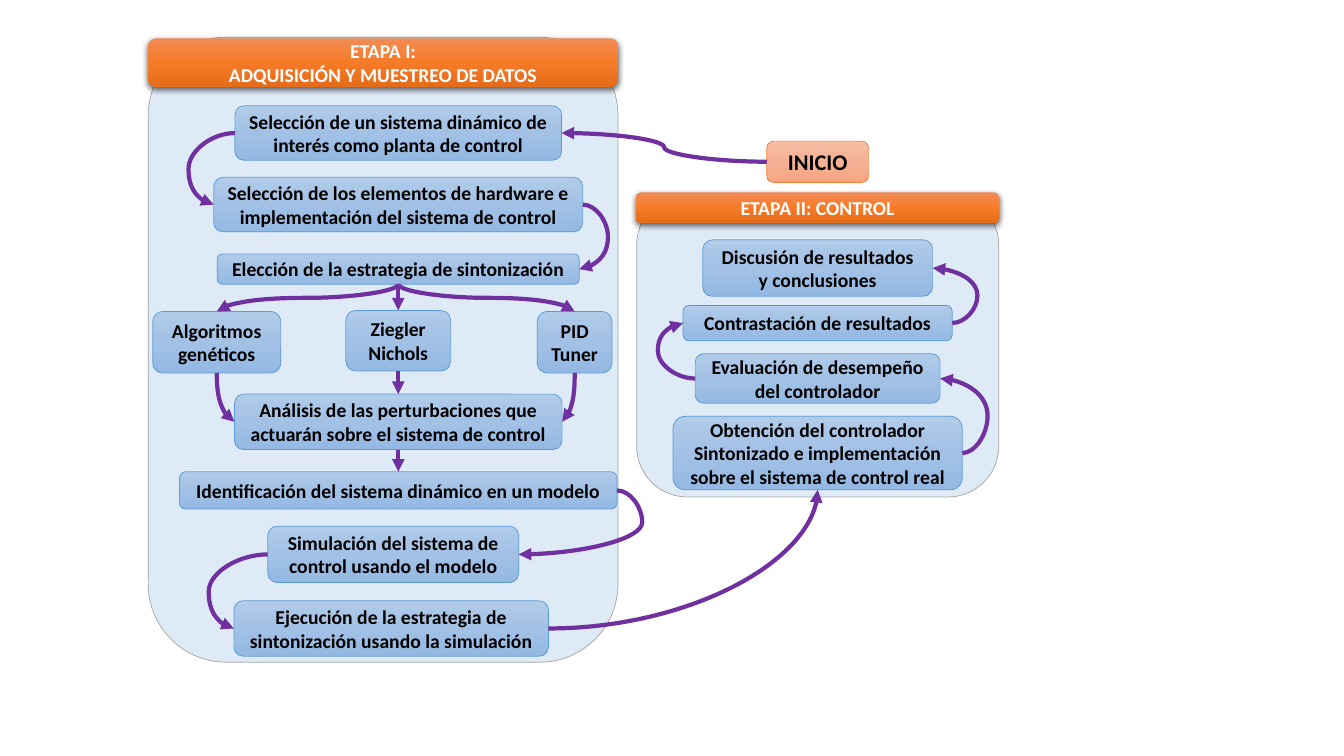
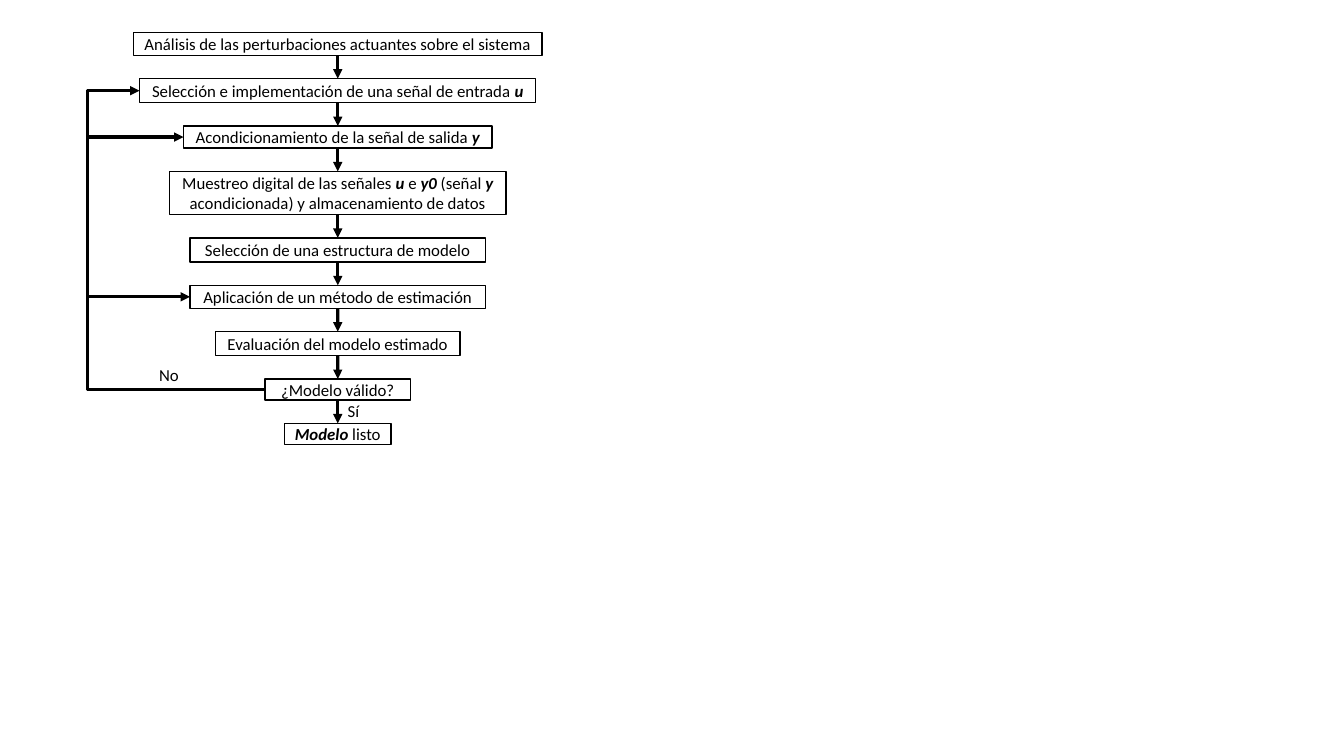
from copy import deepcopy

from lxml.etree import SubElement
from pptx import Presentation
from pptx.dml.color import RGBColor
from pptx.enum.shapes import MSO_CONNECTOR, MSO_SHAPE
from pptx.enum.text import MSO_ANCHOR, PP_ALIGN
from pptx.oxml.ns import qn
from pptx.util import Inches, Pt

COLORS = {
    "black": "000000",
    "white": "FFFFFF",
    "panel": "DEEBF7",
    "panel_line": "A5A5A5",
    "step_line": "5B9BD5",
    "start_line": "ED7D31",
    "arrow": "7030A0",
}
GRADIENTS = {
    "step": ("B1CBE9", "A3C1E5", "93B9E4"),
    "start": ("F7BDA5", "F5B196", "F8A582"),
    "header": ("F18C57", "F67B28", "E56C19"),
}
FONT = "Calibri"
ROUNDED = MSO_SHAPE.FLOWCHART_ALTERNATE_PROCESS
TOP, LEFT, BOTTOM, RIGHT = range(4)
LOOP = Inches(0.25)
STAGE_ONE_CENTER = 3.95
STAGE_TWO_CENTER = 8.11
FLOW_CENTER = 3.35
FLOW_TOP = 0.32
FLOW_GAP = 0.23
RAIL = 0.87

STAGE_ONE = {
    "sistema": (3.95, 1.05, 3.24, 0.54, ["Selección de un sistema dinámico de", "interés como planta de control"]),
    "hardware": (3.95, 1.76, 3.66, 0.54, ["Selección de los elementos de hardware e implementación del sistema de control"]),
    "estrategia": (3.95, 2.52, 3.59, 0.3, ["Elección de la estrategia de sintonización"]),
    "algoritmos": (2.15, 3.09, 1.27, 0.61, ["Algoritmos", "genéticos"]),
    "ziegler": (3.95, 3.08, 1.04, 0.6, ["Ziegler", "Nichols"]),
    "pid": (5.7, 3.09, 0.74, 0.61, ["PID", "Tuner"]),
    "perturbaciones": (3.95, 3.91, 3.25, 0.55, ["Análisis de las perturbaciones que", "actuarán sobre el sistema de control"]),
    "identificación": (3.95, 4.68, 4.34, 0.37, ["Identificación del sistema dinámico en un modelo"]),
    "simulación": (3.9, 5.22, 2.49, 0.56, ["Simulación del sistema de", "control usando el modelo"]),
    "ejecución": (3.88, 5.96, 3.12, 0.55, ["Ejecución de la estrategia de", "sintonización usando la simulación"]),
}
STAGE_TWO = {
    "obtención": (4.13, 2.87, 0.73, ["Obtención del controlador", "Sintonizado e implementación", "sobre el sistema de control real"]),
    "evaluación": (3.51, 2.43, 0.49, ["Evaluación de desempeño", "del controlador"]),
    "contrastación": (3.03, 2.67, 0.35, ["Contrastación de resultados"]),
    "discusión": (2.38, 2.28, 0.56, ["Discusión de resultados", "y conclusiones"]),
}
CURVES = [
    ("inicio", LEFT, "sistema", RIGHT),
    ("sistema", LEFT, "hardware", LEFT),
    ("hardware", RIGHT, "estrategia", RIGHT),
    ("estrategia", BOTTOM, "algoritmos", TOP),
    ("estrategia", BOTTOM, "pid", TOP),
    ("algoritmos", BOTTOM, "perturbaciones", LEFT),
    ("pid", BOTTOM, "perturbaciones", RIGHT),
    ("identificación", RIGHT, "simulación", RIGHT),
    ("simulación", LEFT, "ejecución", LEFT),
    ("ejecución", RIGHT, "obtención", BOTTOM),
    ("obtención", RIGHT, "evaluación", RIGHT),
    ("evaluación", LEFT, "contrastación", LEFT),
    ("contrastación", RIGHT, "discusión", RIGHT),
]
STRAIGHTS = [
    ("estrategia", "ziegler"),
    ("ziegler", "perturbaciones"),
    ("perturbaciones", "identificación"),
]
FLOW = [
    (4.05, 0.23, "Análisis de las perturbaciones actuantes sobre el sistema"),
    (3.93, 0.24, "Selección e implementación de una señal de entrada *u*"),
    (3.06, 0.22, "Acondicionamiento de la señal de salida *y*"),
    (3.34, 0.43, "Muestreo digital de las señales *u *e *y0* (señal *y *acondicionada) y almacenamiento de datos"),
    (2.93, 0.24, "Selección de una estructura de modelo"),
    (2.93, 0.23, "Aplicación de un método de estimación"),
    (2.43, 0.24, "Evaluación del modelo estimado"),
    (1.44, 0.21, "¿Modelo válido?"),
    (1.06, 0.21, "*Modelo* listo"),
]


def color(name):
    return RGBColor.from_string(COLORS.get(name, name))


def write_text(shape, lines, size, ink="black", bold=False, align=PP_ALIGN.CENTER):
    frame = shape.text_frame
    frame.word_wrap = True
    for index, line in enumerate(lines):
        paragraph = frame.paragraphs[0] if index == 0 else frame.add_paragraph()
        paragraph.alignment = align
        for part, text in enumerate(line.split("*")):
            if not text:
                continue
            emphasized = part % 2 == 1
            run = paragraph.add_run()
            run.text = text
            run.font.name = FONT
            run.font.size = Pt(size)
            run.font.bold = bold or emphasized
            run.font.italic = emphasized
            run.font.color.rgb = color(ink)


def fill_gradient(shape, colors):
    shape.fill.gradient()
    shape.fill.gradient_angle = 270
    stop_list = shape._element.spPr.find(".//" + qn("a:gsLst"))
    stop_list.insert(1, deepcopy(stop_list[0]))
    for stop, value, position in zip(shape.fill.gradient_stops, colors, (0, 0.5, 1)):
        stop.color.rgb = color(value)
        stop.position = position


def add_box(shapes, preset, center, top, width, height, fill, line=None, weight=0.5):
    shape = shapes.add_shape(
        preset, Inches(center - width / 2), Inches(top), Inches(width), Inches(height)
    )
    shape.shadow.inherit = False
    if fill in GRADIENTS:
        fill_gradient(shape, GRADIENTS[fill])
    else:
        shape.fill.solid()
        shape.fill.fore_color.rgb = color(fill)
    if line:
        shape.line.color.rgb = color(line)
        shape.line.width = Pt(weight)
    else:
        shape.line.fill.background()
    frame = shape.text_frame
    frame.margin_left = frame.margin_right = Inches(0.05)
    frame.vertical_anchor = MSO_ANCHOR.MIDDLE
    return shape


def add_step(shapes, center, top, width, height, lines):
    step = add_box(shapes, ROUNDED, center, top, width, height, "step", "step_line")
    write_text(step, lines, 14, bold=True)
    return step


def add_header(shapes, center, top, width, height, lines):
    header = add_box(shapes, ROUNDED, center, top, width, height, "header")
    write_text(header, lines, 14, "white", bold=True)
    effects = header._element.spPr.find(qn("a:effectLst"))
    shadow = SubElement(effects, qn("a:outerShdw"), blurRad=str(Pt(4.5)), dist=str(Pt(1.5)),
                        dir="5400000", algn="ctr", rotWithShape="0")
    shade = SubElement(shadow, qn("a:srgbClr"), val=COLORS["black"])
    SubElement(shade, qn("a:alpha"), val="63000")


def site_point(shape, site):
    x = {LEFT: 0, RIGHT: shape.width}.get(site, shape.width // 2)
    y = {TOP: 0, BOTTOM: shape.height}.get(site, shape.height // 2)
    return shape.left + x, shape.top + y


def add_arrow(shapes, kind, source, source_site, target, target_site, ink, weight):
    start, end = site_point(source, source_site), site_point(target, target_site)
    connector = shapes.add_connector(kind, *start, *end)
    connector.begin_connect(source, source_site)
    connector.end_connect(target, target_site)
    connector.line.color.rgb = color(ink)
    connector.line.width = Pt(weight)
    properties = connector._element.spPr
    SubElement(properties.find(qn("a:ln")), qn("a:tailEnd"), type="triangle")
    SubElement(properties, qn("a:effectLst"))
    return connector


def set_bend(connector, ratio):
    geometry = connector._element.spPr.find(qn("a:prstGeom"))
    adjustments = geometry.find(qn("a:avLst"))
    if adjustments is None:
        adjustments = SubElement(geometry, qn("a:avLst"))
    SubElement(adjustments, qn("a:gd"), name="adj1", fmla=f"val {round(ratio * 100000)}")


def turn_downward(connector):
    across = connector.end_x - connector.begin_x
    down = connector.end_y - connector.begin_y
    middle_x = (connector.begin_x + connector.end_x) // 2
    middle_y = (connector.begin_y + connector.end_y) // 2
    connector.left, connector.top = middle_x - down // 2, middle_y - abs(across) // 2
    connector.width, connector.height = down, abs(across)
    frame = connector._element.spPr.find(qn("a:xfrm"))
    frame.set("rot", "5400000")
    frame.set("flipH", "0")
    frame.set("flipV", "1" if across > 0 else "0")


def add_curve(shapes, source, source_site, target, target_site):
    connector = add_arrow(shapes, MSO_CONNECTOR.CURVE, source, source_site, target, target_site, "arrow", 3)
    start, end = connector.begin_x, connector.end_x
    sideways = (LEFT, RIGHT)
    if (source_site in sideways) != (target_site in sideways):
        connector._element.spPr.find(qn("a:prstGeom")).set("prst", "curvedConnector2")
    elif source_site == target_site:
        turn = max(start, end) + LOOP if source_site == RIGHT else min(start, end) - LOOP
        set_bend(connector, (turn - start) / (end - start))
    if source_site == BOTTOM:
        turn_downward(connector)


def add_return(shapes, source, target):
    connector = add_arrow(shapes, MSO_CONNECTOR.ELBOW, source, LEFT, target, LEFT, "black", 2.25)
    start, end = connector.begin_x, connector.end_x
    set_bend(connector, (Inches(RAIL) - start) / (end - start))


def add_label(shapes, left, top, text):
    label = shapes.add_textbox(Inches(left), Inches(top), Inches(0.4), Inches(0.3))
    write_text(label, [text], 12, align=PP_ALIGN.LEFT)


def build_stages(slide):
    shapes = slide.shapes.add_group_shape().shapes
    add_box(shapes, ROUNDED, STAGE_TWO_CENTER, 1.93, 3.59, 3, "panel", "panel_line")
    add_box(shapes, ROUNDED, 3.8, 0.37, 4.66, 6.2, "panel", "panel_line")
    steps = {name: add_step(shapes, *step) for name, step in STAGE_ONE.items()}
    for name, step in STAGE_TWO.items():
        steps[name] = add_step(shapes, STAGE_TWO_CENTER, *step)
    steps["inicio"] = add_box(shapes, ROUNDED, STAGE_TWO_CENTER, 1.4, 1.01, 0.41, "start", "start_line")
    write_text(steps["inicio"], ["INICIO"], 16, bold=True)
    for source, source_site, target, target_site in CURVES:
        add_curve(shapes, steps[source], source_site, steps[target], target_site)
    for source, target in STRAIGHTS:
        add_arrow(shapes, MSO_CONNECTOR.STRAIGHT, steps[source], BOTTOM, steps[target], TOP, "arrow", 3)
    add_header(shapes, 3.8, 0.38, 4.66, 0.48, ["ETAPA I:", "ADQUISICIÓN Y MUESTREO DE DATOS"])
    add_header(shapes, STAGE_TWO_CENTER, 1.91, 3.6, 0.3, ["ETAPA II: CONTROL"])


def build_identification(slide):
    shapes = slide.shapes.add_group_shape().shapes
    boxes = []
    top = FLOW_TOP
    for width, height, text in FLOW:
        box = add_box(shapes, MSO_SHAPE.RECTANGLE, FLOW_CENTER, top, width, height, "white", "black", 1)
        write_text(box, [text], 12)
        boxes.append(box)
        top += height + FLOW_GAP
    for source, target in zip(boxes, boxes[1:]):
        add_arrow(shapes, MSO_CONNECTOR.STRAIGHT, source, BOTTOM, target, TOP, "black", 2.25)
    decision = boxes[7]
    for target in (boxes[5], boxes[1], boxes[2]):
        add_return(shapes, decision, target)
    add_label(shapes, FLOW_CENTER, 3.93, "Sí")
    add_label(shapes, 1.48, 3.57, "No")


def main():
    presentation = Presentation()
    presentation.slide_width = Inches(13.33)
    presentation.slide_height = Inches(7.5)
    for build in (build_stages, build_identification):
        build(presentation.slides.add_slide(presentation.slide_layouts[6]))
    presentation.save("out.pptx")


if __name__ == "__main__":
    main()
